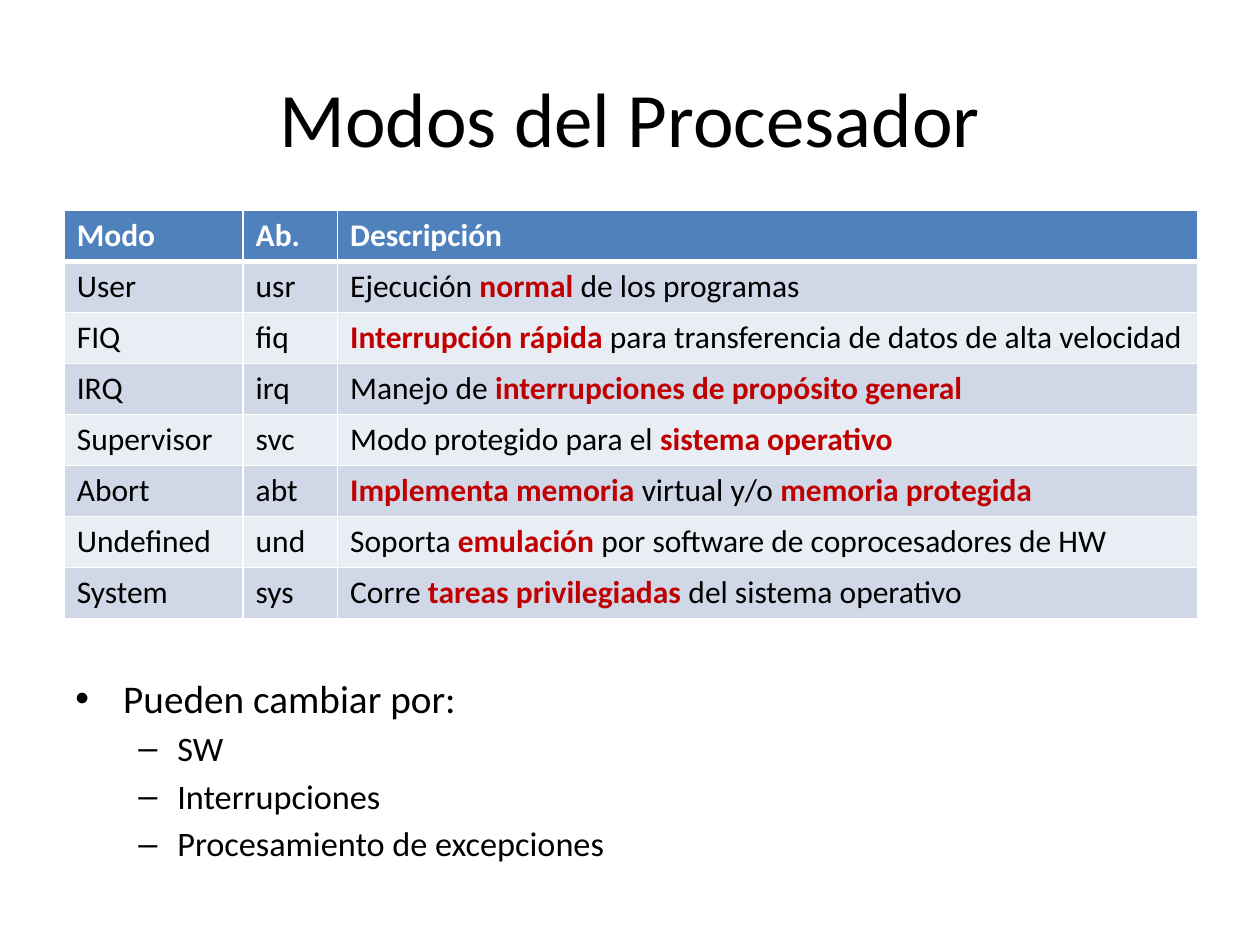
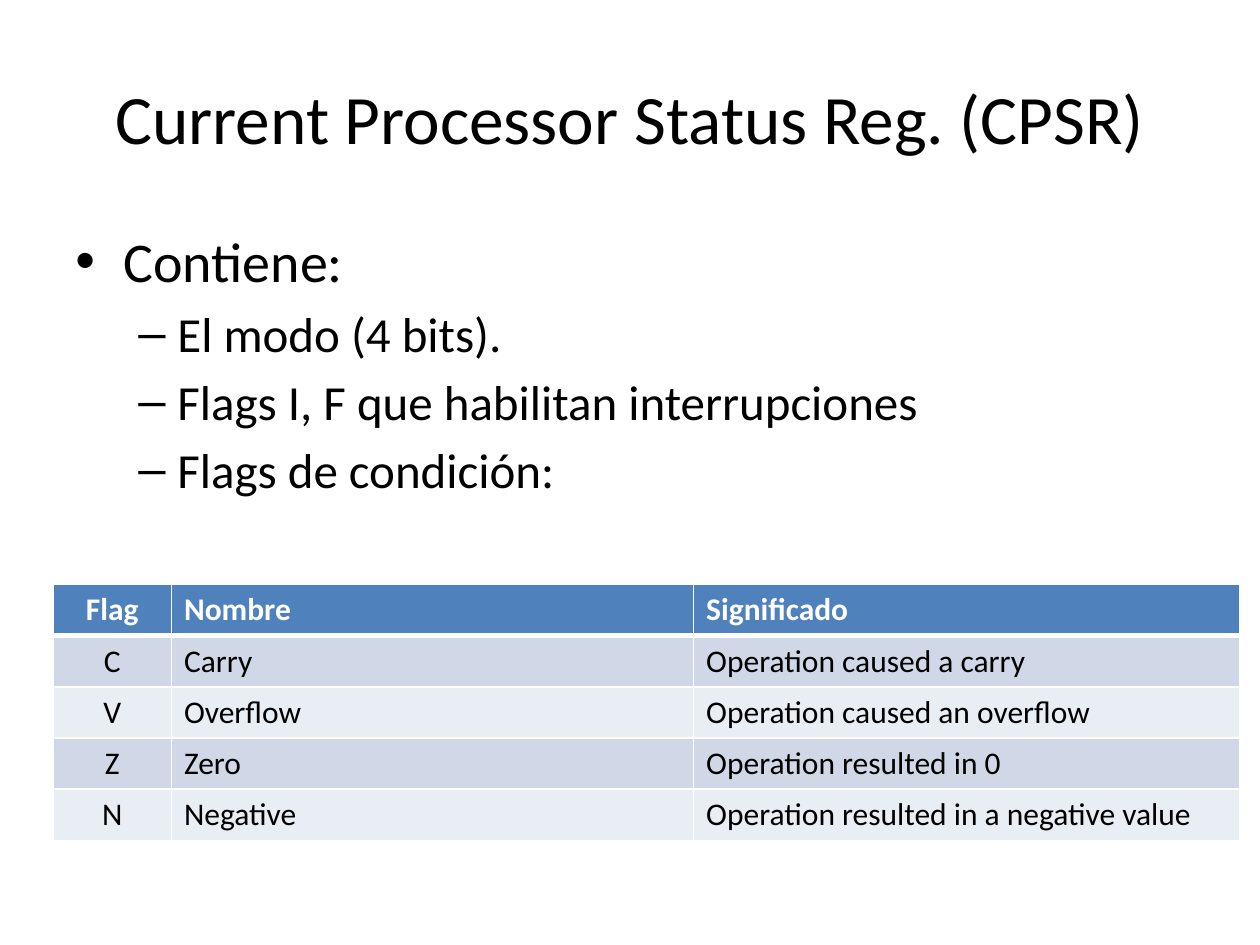
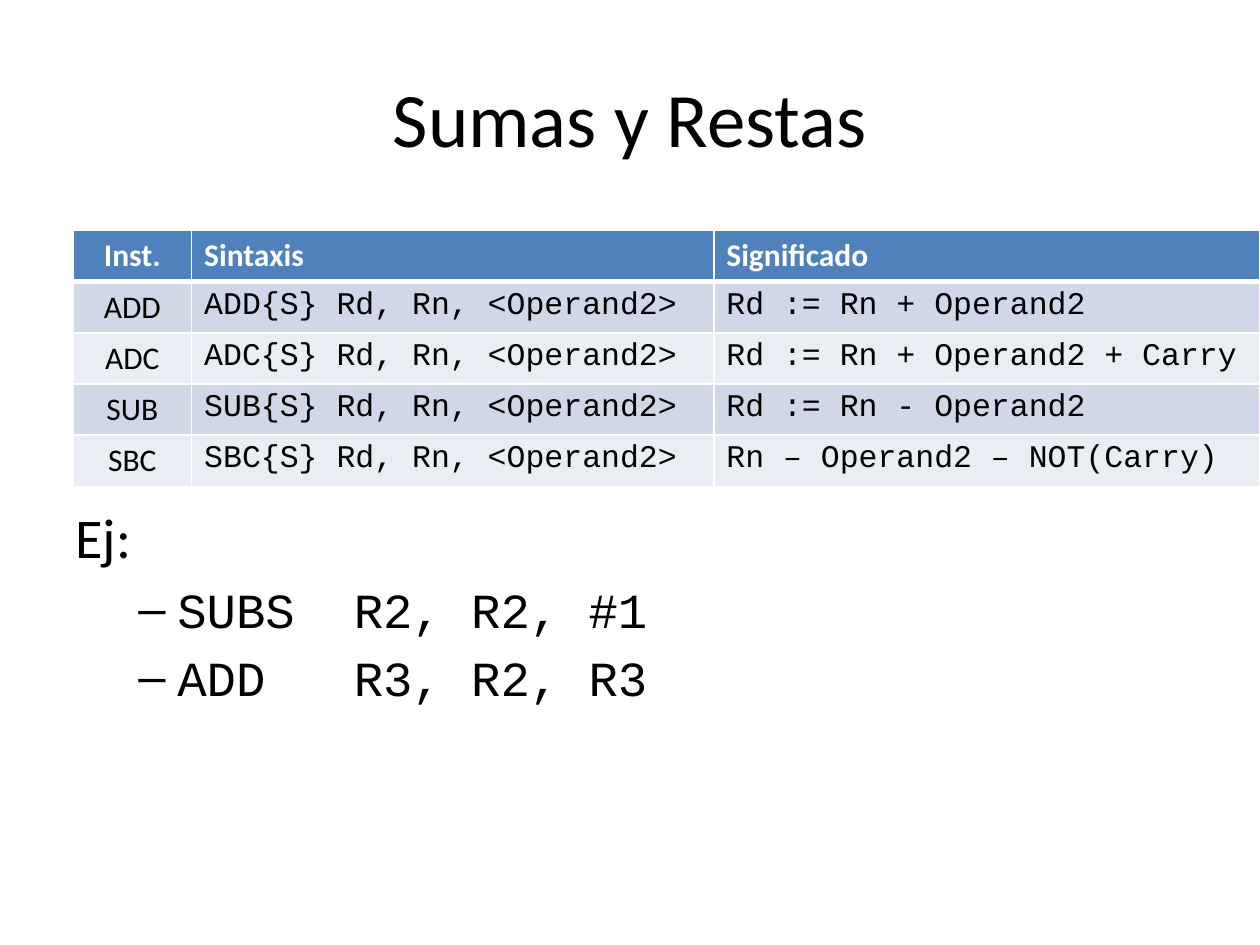
import pptx
import pptx.util
import pptx.dml.color
import pptx.enum.text
import pptx.oxml
import pptx.oxml.ns

COLUMNS, ROWS = 100, 75  # layout grid of the slide
SANS, MONO = "Calibri", "Courier New"
BLACK, WHITE, ACCENT = "000000", "FFFFFF", "C00000"
HEADER, BANDS = "4F81BD", ("D0D8E8", "E9EDF4")
TITLE_BOX = (5, 3, 90, 12.5)
SPACE_SHARE = 0.19  # space before a paragraph, as a share of its size
CENTER = pptx.enum.text.PP_ALIGN.CENTER

deck = pptx.Presentation()
deck.slide_width = pptx.util.Inches(10)
deck.slide_height = pptx.util.Inches(7.5)


def rgb(color):
    return pptx.dml.color.RGBColor.from_string(color)


def place(box):
    """Turn a box in grid units into slide lengths."""
    column, row = deck.slide_width / COLUMNS, deck.slide_height / ROWS
    return [round(n * unit) for n, unit in zip(box, (column, row, column, row))]


def add_element(parent, xml):
    tag, rest = xml.split(" ", 1)
    element = pptx.oxml.parse_xml(f"<{tag} {pptx.oxml.ns.nsdecls('a')} {rest}")
    parent.append(element)


def write(paragraph, text, size, font=SANS, color=BLACK, bold=False):
    """Add text run by run; words between asterisks are emphasised."""
    for index, words in enumerate(text.split("*")):
        if words:
            emphasised = index % 2 == 1
            run = paragraph.add_run()
            run.text = words
            run.font.size = pptx.util.Pt(size)
            run.font.name = font
            run.font.bold = bold or emphasised
            run.font.color.rgb = rgb(ACCENT if emphasised else color)


def new_slide(title, size=44):
    slide = deck.slides.add_slide(deck.slide_layouts[6])
    frame = slide.shapes.add_textbox(*place(TITLE_BOX)).text_frame
    frame.word_wrap = True
    frame.vertical_anchor = pptx.enum.text.MSO_ANCHOR.MIDDLE
    heading = frame.paragraphs[0]
    heading.alignment = CENTER
    write(heading, title, size)
    return slide


def add_outline(slide, box, lead, points, sizes, lead_bullet=True, point_font=SANS, tab=None):
    """Lead line followed by dashed points."""
    frame = slide.shapes.add_textbox(*place(box)).text_frame
    frame.word_wrap = True
    lead_style = ("•", 0.38, -0.38) if lead_bullet else (None, 0, 0)
    lines = [(lead, sizes[0], SANS, lead_style)]
    lines += [(point, sizes[1], point_font, ("–", 0.81, -0.31)) for point in points]
    for index, (text, size, font, (bullet, margin, indent)) in enumerate(lines):
        paragraph = frame.add_paragraph() if index else frame.paragraphs[0]
        properties = paragraph._p.get_or_add_pPr()
        properties.set("marL", str(pptx.util.Inches(margin)))
        properties.set("indent", str(pptx.util.Inches(indent)))
        if bullet:
            add_element(properties, 'a:buFont typeface="Arial"/>')
            add_element(properties, f'a:buChar char="{bullet}"/>')
        if index and tab:
            stop = pptx.util.Inches(tab)
            add_element(properties, f'a:tabLst ><a:tab pos="{stop}" algn="l"/></a:tabLst>')
        if index:
            paragraph.space_before = pptx.util.Pt(round(size * SPACE_SHARE, 1))
        write(paragraph, text, size, font)


def add_borders(cell, top=1, bottom=1):
    properties = cell._tc.get_or_add_tcPr()
    for side, width in (("L", 1), ("R", 1), ("T", top), ("B", bottom)):
        add_element(properties, f'a:ln{side} w="{pptx.util.Pt(width)}"><a:solidFill>'
                                f'<a:srgbClr val="{WHITE}"/></a:solidFill></a:ln{side}>')


def add_banded_table(slide, box, widths, rows, centered=(), code=()):
    """Header row over banded rows; centered and code list column numbers."""
    left, top, width, height = place(box)
    table = slide.shapes.add_table(len(rows), len(widths), left, top, width, height).table
    for column, share in zip(table.columns, widths):
        column.width = round(width * share / sum(widths))
    for r, texts in enumerate(rows):
        table.rows[r].height = round(height / len(rows))
        for c, text in enumerate(texts):
            cell = table.cell(r, c)
            add_borders(cell, top=3 if r == 1 else 1, bottom=1 if r else 3)
            cell.fill.solid()
            cell.fill.fore_color.rgb = rgb(BANDS[(r - 1) % 2] if r else HEADER)
            paragraph = cell.text_frame.paragraphs[0]
            if c in centered:
                paragraph.alignment = CENTER
            write(paragraph, text, 18, MONO if r and c in code else SANS,
                  BLACK if r else WHITE, bold=r == 0)


def processor_modes():
    slide = new_slide("Modos del Procesador")
    add_banded_table(slide, (5.1, 16.7, 90, 32.4), (1.42, 0.75, 6.83), [
        ("Modo", "Ab.", "Descripción"),
        ("User", "usr", "Ejecución *normal* de los programas"),
        ("FIQ", "fiq", "*Interrupción rápida* para transferencia de datos de alta velocidad"),
        ("IRQ", "irq", "Manejo de *interrupciones de propósito general*"),
        ("Supervisor", "svc", "Modo protegido para el *sistema operativo*"),
        ("Abort", "abt", "*Implementa memoria* virtual y/o *memoria protegida*"),
        ("Undefined", "und", "Soporta *emulación *por software de coprocesadores de HW"),
        ("System", "sys", "Corre *tareas privilegiadas* del sistema operativo"),
    ])
    add_outline(slide, (5, 53, 90, 15.3), "Pueden cambiar por:",
                ["SW", "Interrupciones", "Procesamiento de excepciones"], (22.4, 19.6))


def status_register():
    slide = new_slide("Current Processor Status Reg. (CPSR)", 39.6)
    add_outline(slide, (5, 17.5, 90, 49.5), "Contiene:",
                ["El modo (4 bits).", "Flags I, F que habilitan interrupciones",
                 "Flags de condición:"], (32, 28))
    add_banded_table(slide, (4.2, 46.4, 94.2, 20.3), (0.94, 4.14, 4.33), [
        ("Flag", "Nombre", "Significado"),
        ("C", "Carry", "Operation caused a carry"),
        ("V", "Overflow", "Operation caused an overflow"),
        ("Z", "Zero", "Operation resulted in 0"),
        ("N", "Negative", "Operation resulted in a negative value"),
    ], centered=(0,))


def additions_and_subtractions():
    slide = new_slide("Sumas y Restas")
    meanings = {
        "ADD": "Rd := Rn + Operand2",
        "ADC": "Rd := Rn + Operand2 + Carry",
        "SUB": "Rd := Rn - Operand2",
        "SBC": "Rn – Operand2 – NOT(Carry)",
    }
    instructions = [(name, name + "{S} Rd, Rn, <Operand2>", meaning)
                    for name, meaning in meanings.items()]
    add_outline(slide, (5, 39.4, 90, 27.6), "Ej:",
                ["SUBS\tR2, R2, #1", "ADD\tR3, R2, R3"], (32, 28),
                lead_bullet=False, point_font=MONO, tab=2.21)
    add_banded_table(slide, (5.8, 18.3, 94.2, 20.3), (0.94, 4.14, 4.33),
                     [("Inst.", "Sintaxis", "Significado")] + instructions,
                     centered=(0,), code=(1, 2))


def main():
    processor_modes()
    status_register()
    additions_and_subtractions()
    deck.save("out.pptx")


if __name__ == "__main__":
    main()
